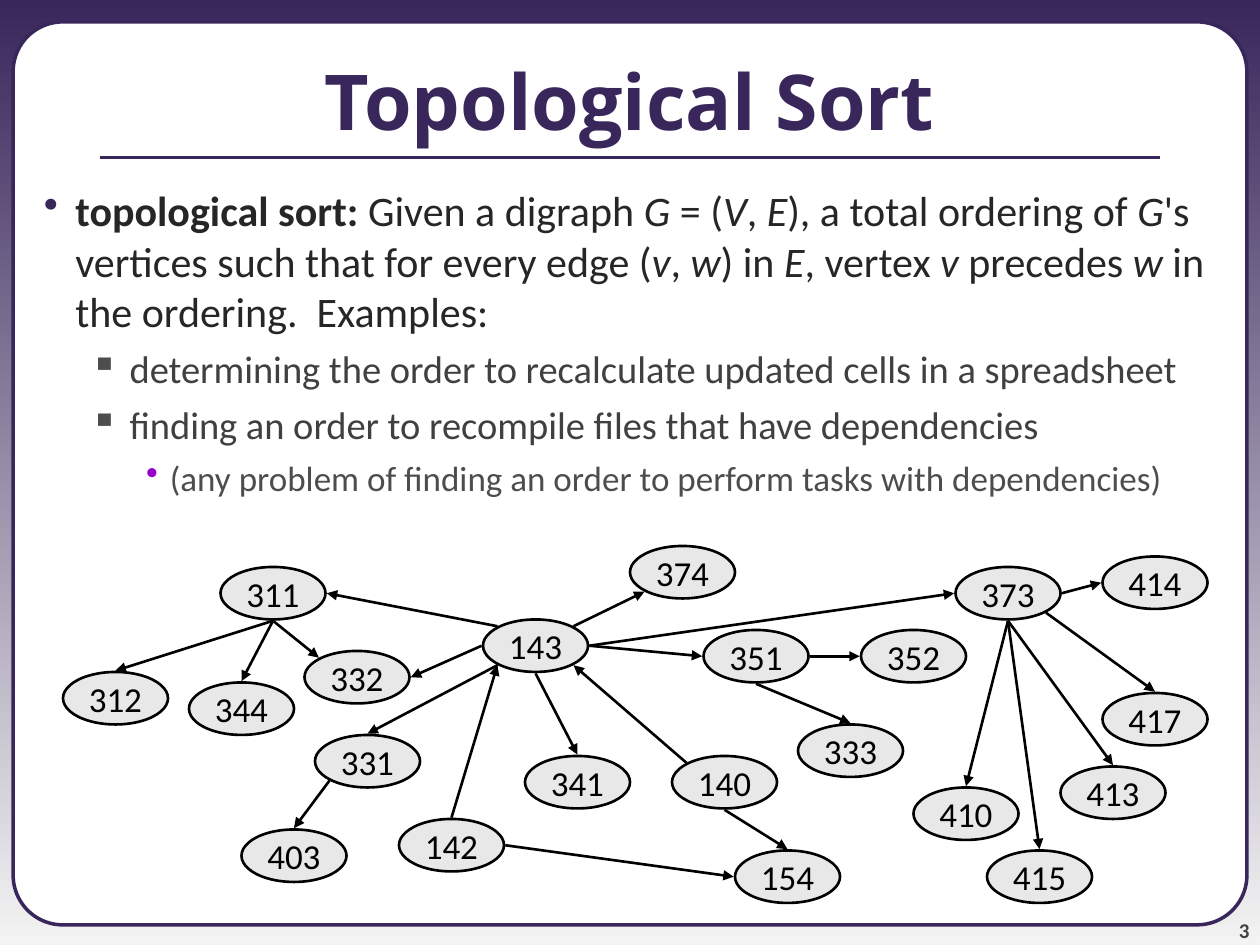
from lxml import etree
from pptx import Presentation
from pptx import util as u
from pptx.dml import color
from pptx.enum import shapes, text
from pptx.oxml import ns

PURPLE = "39275B"
BLACK = "000000"
NODE_WIDTH, NODE_HEIGHT = 60, 30
ARROW_GAP = 0.75

NODES = {
    "142": (228, 468), "143": (276, 354), "154": (420, 486), "140": (384, 432),
    "311": (126, 324), "312": (36, 384), "331": (180, 420), "351": (402, 360),
    "333": (456, 414), "341": (300, 432), "344": (108, 390), "403": (138, 474),
    "352": (492, 360), "373": (546, 324), "410": (522, 450), "332": (174, 372),
    "374": (360, 312), "415": (564, 486), "413": (606, 438), "417": (630, 396),
    "414": (630, 318),
}
EDGES = [
    ("142", "n", "143", "sw"), ("142", "e", "154", "w"),
    ("140", "nw", "143", "se"), ("140", "s", "154", "n"),
    ("311", "s", "312", "n"), ("311", "s", "344", "n"), ("311", "s", "332", "nw"),
    ("143", "nw", "311", "e"), ("143", "sw", "331", "n"), ("143", "w", "332", "e"),
    ("143", "s", "341", "n"), ("143", "e", "351", "w"), ("143", "e", "373", "w"),
    ("143", "ne", "374", "sw"), ("331", "sw", "403", "n"),
    ("351", "e", "352", "w"), ("351", "s", "333", "n"),
    ("373", "s", "410", "n"), ("373", "s", "415", "n"), ("373", "s", "413", "n"),
    ("373", "e", "414", "w"), ("373", "se", "417", "n"),
]
DEFINITION = [
    ("topological sort:", "b"), (" Given a digraph ", ""), ("G", "i"), (" = (", ""),
    ("V", "i"), (", ", ""), ("E", "i"), ("), a total ordering of ", ""), ("G", "i"),
    ("'s vertices such that for every edge (", ""), ("v", "i"), (", ", ""),
    ("w", "i"), (") in ", ""), ("E", "i"), (", vertex ", ""), ("v", "i"),
    (" precedes ", ""), ("w", "i"), (" in the ordering.  Examples:", ""),
]
LEVELS = [
    dict(margin=36, hang=18, mark="•", mark_color=PURPLE, size=24, ink="262626", before=0),
    dict(margin=67, hang=22.5, mark="▪", mark_color="4D4D4D", size=22, ink="404040", before=5.5),
    dict(margin=90, hang=13.5, mark="•", mark_color="9900CC", size=20, ink="4D4D4D", before=5),
]
BODY = [
    (0, DEFINITION),
    (1, [("determining the order to recalculate updated cells in a spreadsheet", "")]),
    (1, [("finding an order to recompile files that have dependencies", "")]),
    (2, [("(any problem of finding an order to perform tasks with dependencies)", "")]),
]


def rgb(value):
    return color.RGBColor.from_string(value)


def anchor_point(node, side):
    left, top = NODES[node]
    reach = 0.5 ** 0.5 if len(side) == 2 else 1
    across = ("e" in side) - ("w" in side)
    down = ("s" in side) - ("n" in side)
    return (left + NODE_WIDTH / 2 + across * reach * (NODE_WIDTH / 2 + ARROW_GAP),
            top + NODE_HEIGHT / 2 + down * reach * (NODE_HEIGHT / 2 + ARROW_GAP))


class Painter:
    font = "Calibri"

    def __init__(self, slide):
        self.slide = slide

    def background(self, top, bottom):
        fill = self.slide.background.fill
        fill.gradient()
        fill.gradient_angle = 270
        for stop, value in zip(fill.gradient_stops, (top, bottom)):
            stop.color.rgb = rgb(value)

    def style(self, span, size, ink, bold=False, italic=False, font=None):
        span.font.name = font or self.font
        span.font.size = u.Pt(size)
        span.font.color.rgb = rgb(ink)
        span.font.bold = bold
        span.font.italic = italic

    def shape(self, kind, area, fill, line, width):
        shape = self.slide.shapes.add_shape(kind, *map(u.Pt, area))
        shape.shadow.inherit = False
        shape.fill.solid()
        shape.fill.fore_color.rgb = rgb(fill)
        shape.line.color.rgb = rgb(line)
        shape.line.width = u.Pt(width)
        return shape

    def panel(self, area):
        panel = self.shape(shapes.MSO_SHAPE.ROUNDED_RECTANGLE, area, "FFFFFF", PURPLE, 2)
        panel.adjustments[0] = 0.055

    def node(self, label, left, top):
        area = (left, top, NODE_WIDTH, NODE_HEIGHT)
        node = self.shape(shapes.MSO_SHAPE.OVAL, area, "E8E8E8", BLACK, 1.5)
        frame = node.text_frame
        frame.word_wrap = False
        frame.vertical_anchor = text.MSO_ANCHOR.MIDDLE
        frame.text = label
        para = frame.paragraphs[0]
        para.alignment = text.PP_ALIGN.CENTER
        self.style(para.runs[0], 20, BLACK)

    def line(self, start, end, ink, width, arrow=False):
        line = self.slide.shapes.add_connector(
            shapes.MSO_CONNECTOR.STRAIGHT, *map(u.Pt, start + end))
        line.line.color.rgb = rgb(ink)
        line.line.width = u.Pt(width)
        if arrow:
            etree.SubElement(line.line._get_or_add_ln(), ns.qn("a:tailEnd"), type="triangle")
        etree.SubElement(line._element.spPr, ns.qn("a:effectLst"))

    def text_box(self, area, anchor):
        box = self.slide.shapes.add_textbox(*map(u.Pt, area))
        box.text_frame.word_wrap = True
        box.text_frame.vertical_anchor = anchor
        return box.text_frame

    def label(self, words, area, anchor, align, size, ink, font=None, inset=None):
        frame = self.text_box(area, anchor)
        if inset is not None:
            frame.margin_left = frame.margin_right = u.Pt(inset)
            frame.margin_top = frame.margin_bottom = u.Pt(inset)
        frame.text = words
        para = frame.paragraphs[0]
        para.alignment = align
        self.style(para.runs[0], size, ink, bold=True, font=font)

    def bullets(self, area, items):
        frame = self.text_box(area, text.MSO_ANCHOR.TOP)
        for index, (level, spans) in enumerate(items):
            para = frame.add_paragraph() if index else frame.paragraphs[0]
            look = LEVELS[level]
            para.level = level
            para.space_before = u.Pt(look["before"])
            props = para._p.get_or_add_pPr()
            props.set("marL", str(u.Pt(look["margin"])))
            props.set("indent", str(-u.Pt(look["hang"])))
            mark_color = etree.SubElement(props, ns.qn("a:buClr"))
            etree.SubElement(mark_color, ns.qn("a:srgbClr"), val=look["mark_color"])
            etree.SubElement(props, ns.qn("a:buChar"), char=look["mark"])
            for words, weight in spans:
                span = para.add_run()
                span.text = words
                self.style(span, look["size"], look["ink"], weight == "b", weight == "i")


def main():
    deck = Presentation()
    deck.slide_width, deck.slide_height = u.Pt(720), u.Pt(540)
    page = Painter(deck.slides.add_slide(deck.slide_layouts[6]))
    page.background(PURPLE, "F3F3F3")
    page.panel((7.5, 12.5, 705, 516))
    page.label("3", (654, 510, 60, 28.5), text.MSO_ANCHOR.BOTTOM,
               text.PP_ALIGN.RIGHT, 12, "424242", inset=0)
    page.line((57, 90), (663, 90), PURPLE, 2.25)
    page.label("Topological Sort", (0, 12, 720, 90), text.MSO_ANCHOR.MIDDLE,
               text.PP_ALIGN.CENTER, 44, PURPLE, font="Open Sans")
    page.bullets((0, 102, 720, 438), BODY)
    for label, (left, top) in NODES.items():
        page.node(label, left, top)
    for source, exit_side, target, entry_side in EDGES:
        page.line(anchor_point(source, exit_side), anchor_point(target, entry_side),
                  BLACK, 1.5, arrow=True)
    deck.save("out.pptx")


if __name__ == "__main__":
    main()
